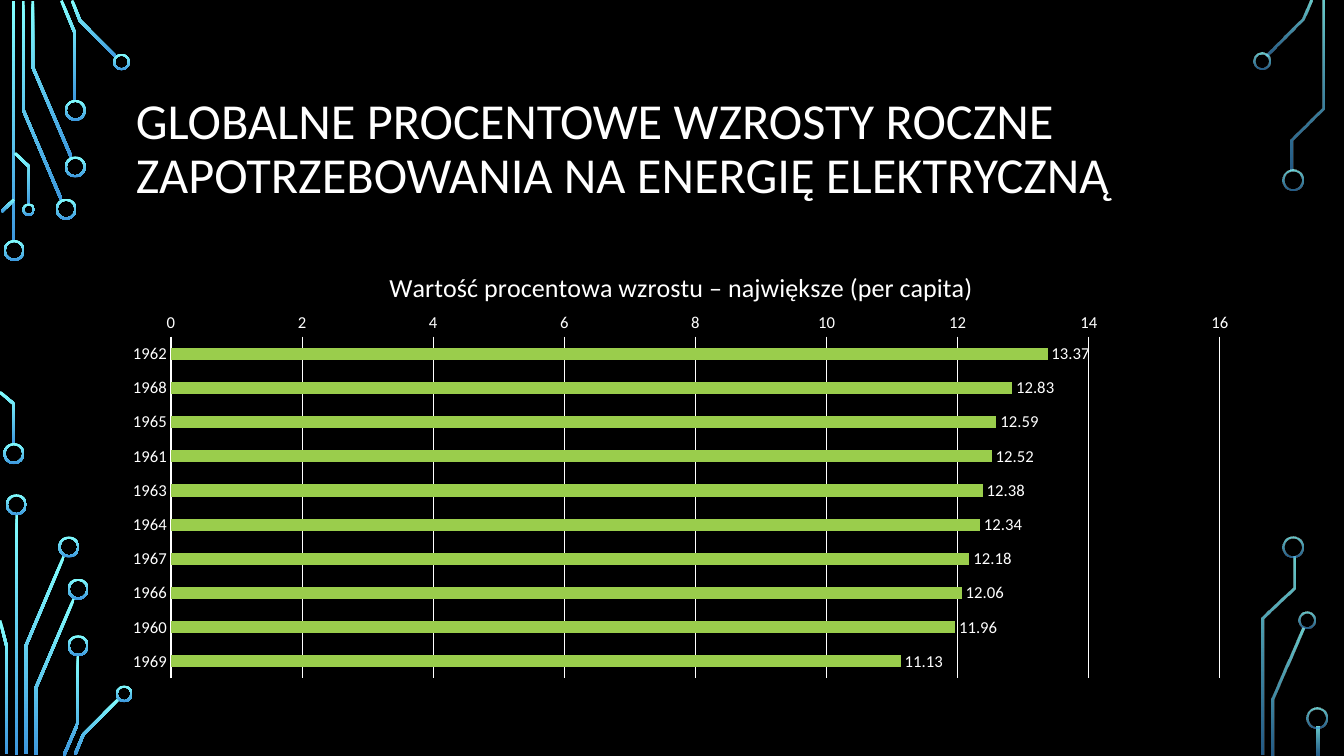
from lxml.etree import SubElement
from pptx import Presentation
from pptx.chart.data import CategoryChartData
from pptx.dml.color import RGBColor
from pptx.enum.chart import XL_CHART_TYPE, XL_LABEL_POSITION, XL_TICK_MARK
from pptx.enum.shapes import MSO_SHAPE
from pptx.enum.text import MSO_ANCHOR
from pptx.oxml import parse_xml
from pptx.oxml.ns import nsdecls, qn
from pptx.util import Pt

BLACK = RGBColor(0x00, 0x00, 0x00)
WHITE = RGBColor(0xFF, 0xFF, 0xFF)
CYAN = RGBColor(0x82, 0xFF, 0xFF)
BLUE = RGBColor(0x3D, 0x97, 0xDE)
GREEN = RGBColor(0x9A, 0xCD, 0x4C)
FONT = "Calibri"
TRACE = 2
RIM = 1.44

LEFT_LINES = [
    [(9.7, 0.7), (9.7, 173)],
    [(16.6, 0.7), (16.6, 78.5), (44, 143)],
    [(23.4, 0.7), (23.4, 48), (51.1, 112.7)],
    [(43.9, 0.4), (53.6, 23.8), (53.6, 72)],
    [(51.5, 0.4), (57.2, 14.8), (83.2, 41)],
    [(1.1, 151.2), (10.1, 142.6)],
    [(0, 280.1), (10.1, 288.7), (10.1, 317.5)],
    [(10.8, 109.4), (20.9, 119.2), (20.9, 146.2)],
    [(11.9, 367.2), (11.9, 539.3)],
    [(18.4, 538.6), (18.4, 461.5), (45.7, 397.1)],
    [(0, 443.2), (4.7, 461.5), (4.7, 538.6)],
    [(25.6, 539.3), (25.6, 491.4), (52.9, 427.3)],
    [(45.7, 539.6), (55.8, 516.2), (55.8, 468)],
    [(53.6, 539), (59.4, 524.9), (85, 499)],
]
LEFT_RINGS = [
    (10.1, 178.9, 15), (9.9, 324, 15), (47.2, 149.4, 15), (53.8, 119.2, 15),
    (53.8, 78.8, 15), (86.8, 44.3, 12), (20.5, 149.8, 9), (11.7, 360.5, 15),
    (49.2, 390.7, 15), (55.8, 420.8, 15), (55.8, 461.2, 15), (88.7, 495.6, 12),
]
RIGHT_LINES = [
    [(15, 40), (40.6, 14), (46.4, 0.4)],
    [(33, 121.7), (33, 99.7), (55, 77.4), (55, 0.7)],
    [(19, 539.3), (19, 499.3), (41, 448.9)],
    [(11.8, 539.3), (11.8, 441.7), (34.1, 420.1), (34.1, 397.4)],
    [(51.4, 519.1), (51.4, 539.3)],
]
RIGHT_RINGS = [
    (11.3, 43.4, 12), (33.4, 128.7, 15), (43.3, 443.2, 12),
    (33.9, 390.7, 15), (50.8, 512.6, 15),
]
GROWTH = {
    "1962": 13.37, "1968": 12.83, "1965": 12.59, "1961": 12.52, "1963": 12.38,
    "1964": 12.34, "1967": 12.18, "1966": 12.06, "1960": 11.96, "1969": 11.13,
}


def style(font, size):
    font.name = FONT
    font.size = Pt(size)
    font.bold = False
    font.color.rgb = WHITE


def write(frame, words, size=12, space=None):
    part = frame.paragraphs[0]
    part.line_spacing = space
    run = part.add_run()
    run.text = words
    style(run.font, size)


def paint(shape, fade):
    shape.shadow.inherit = False
    shape.line.fill.background()
    shape.fill.gradient()
    shape.fill.gradient_angle = 270
    for stop, color in zip(shape.fill.gradient_stops, (CYAN, BLUE)):
        stop.color.rgb = color
    if fade:
        colors = shape.fill._xPr.iter(qn("a:srgbClr"))
        for node, alpha in zip(colors, fade):
            SubElement(node, qn("a:alpha"), val=str(alpha * 1000))


def outline(points):
    spots = [complex(*point) for point in points]
    norms = [(b - a) / abs(b - a) * 1j for a, b in zip(spots, spots[1:])]
    sides = [[], []]
    for spot, n, m in zip(spots, norms[:1] + norms, norms + norms[-1:]):
        shift = (n + m) / (1 + (n * m.conjugate()).real) * TRACE / 2
        sides[0].append(spot + shift)
        sides[1].append(spot - shift)
    return sides[0] + sides[1][::-1]


def circuit(slide, box, lines, rings, fade=None):
    left, top = box
    for line in lines:
        edge = [(Pt(left + p.real), Pt(top + p.imag)) for p in outline(line)]
        pen = slide.shapes.build_freeform(*edge[0])
        pen.add_line_segments(edge[1:], close=True)
        paint(pen.convert_to_shape(), fade)
    for x, y, size in rings:
        ring = slide.shapes.add_shape(
            MSO_SHAPE.DONUT, Pt(left + x - size / 2), Pt(top + y - size / 2),
            Pt(size), Pt(size))
        ring.adjustments[0] = RIM / size
        paint(ring, fade)


def heading(slide, box):
    frame = slide.shapes.add_textbox(*map(Pt, box)).text_frame
    frame.word_wrap = True
    frame.vertical_anchor = MSO_ANCHOR.MIDDLE
    write(frame, "GLOBALNE PROCENTOWE WZROSTY ROCZNE "
          "ZAPOTRZEBOWANIA NA ENERGIĘ ELEKTRYCZNĄ", size=36, space=0.9)


def arrange(node, index, **marks):
    old = node.find(qn("c:layout"))
    if old is not None:
        node.remove(old)
    items = "".join(f'<c:{name} val="{val}"/>' for name, val in marks.items())
    node.insert(index, parse_xml(
        f'<c:layout {nsdecls("c")}><c:manualLayout>{items}'
        '</c:manualLayout></c:layout>'))


def growth(slide, box):
    data = CategoryChartData()
    data.categories = list(GROWTH)
    data.add_series("Series 1", list(GROWTH.values()))
    chart = slide.shapes.add_chart(
        XL_CHART_TYPE.BAR_CLUSTERED, *map(Pt, box), data).chart
    style(chart.font, 10)
    chart.has_legend = False
    chart.has_title = True
    title = chart.chart_title
    write(title.text_frame,
          "Wartość procentowa wzrostu – największe (per capita)", size=18.6)
    title.include_in_layout = False
    arrange(title._element, 1, xMode="edge", yMode="edge", x=0.24, y=0.04)

    years = chart.category_axis
    years.reverse_order = True
    years.format.line.color.rgb = WHITE
    years.format.line.width = Pt(0.75)
    scale = chart.value_axis
    scale.minimum_scale = 0
    scale.maximum_scale = 16
    scale.major_unit = 2
    scale.format.line.fill.background()
    grid = scale.major_gridlines.format.line
    grid.color.rgb = WHITE
    grid.width = Pt(0.75)
    for axis in (years, scale):
        axis.major_tick_mark = XL_TICK_MARK.NONE
        axis.minor_tick_mark = XL_TICK_MARK.NONE
        style(axis.tick_labels.font, 11.9)

    plot = chart.plots[0]
    plot.gap_width = 182
    plot.vary_by_categories = False
    bars = plot.series[0]
    bars.format.fill.solid()
    bars.format.fill.fore_color.rgb = GREEN
    labels = bars.data_labels
    labels.show_value = True
    labels.position = XL_LABEL_POSITION.OUTSIDE_END
    style(labels.font, 11.9)

    space = chart._chartSpace
    arrange(space.chart.plotArea, 0, layoutTarget="inner", xMode="edge",
            yMode="edge", x=0.0527, y=0.204, w=0.9194, h=0.776)
    space.chart.addnext(parse_xml(
        f'<c:spPr {nsdecls("c", "a")}><a:noFill/><a:ln><a:noFill/></a:ln></c:spPr>'))


def main():
    deck = Presentation()
    deck.slide_width = Pt(960)
    deck.slide_height = Pt(540)
    slide = deck.slides.add_slide(deck.slide_layouts[6])
    slide.background.fill.solid()
    slide.background.fill.fore_color.rgb = BLACK
    circuit(slide, (0, 0), LEFT_LINES, LEFT_RINGS)
    circuit(slide, (890, 0), RIGHT_LINES, RIGHT_RINGS, fade=(80, 60))
    heading(slide, (90, 49, 780, 116.6))
    growth(slide, (79.2, 176.4, 815, 314.6))
    deck.save("out.pptx")


if __name__ == "__main__":
    main()
